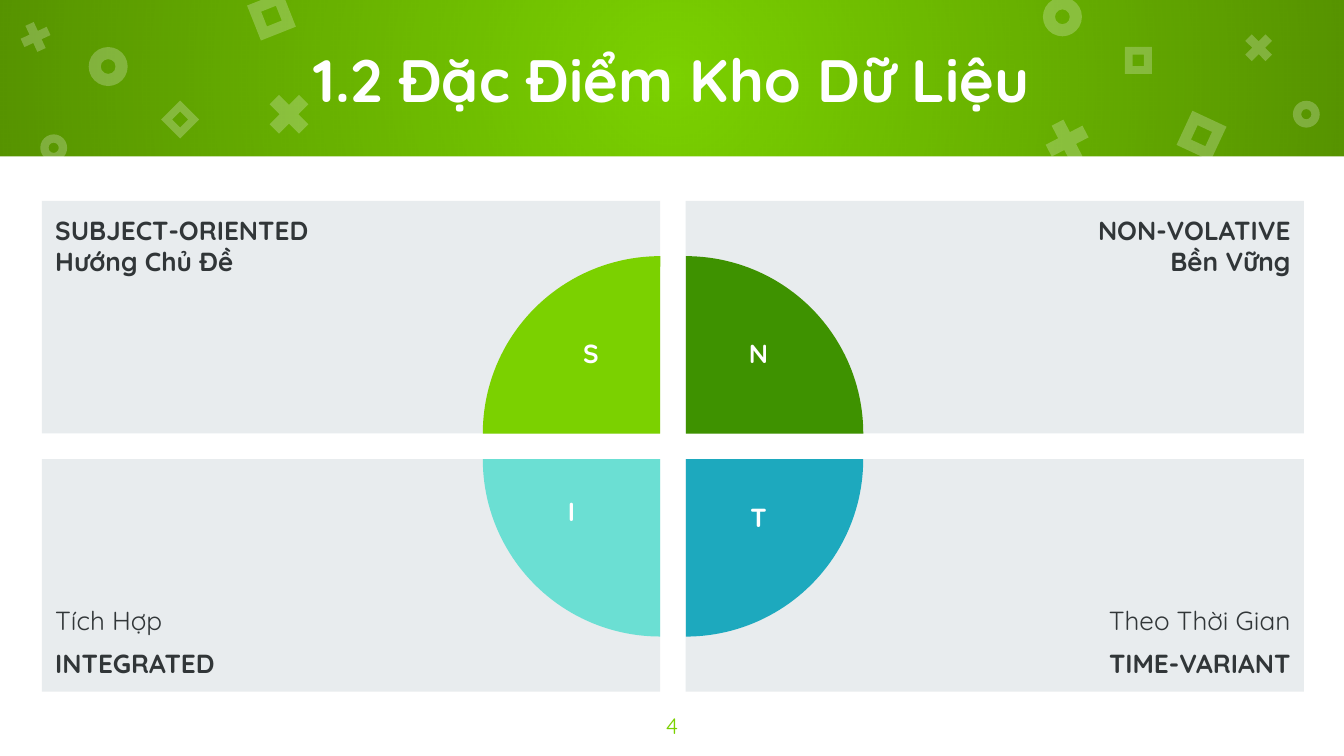
from dataclasses import dataclass

from lxml import etree
from pptx import Presentation
from pptx import util as u
from pptx.dml.color import RGBColor
from pptx.enum import shapes, text
from pptx.oxml import ns

WIDTH = 10
HEIGHT = WIDTH * 9 / 16
FONT = "Quicksand"
COLORS = {
    "lime": "7BD100", "green": "3E9200", "blue": "1DA9BE", "mint": "6BDFD3",
    "panel": "E8ECEE", "ink": "313638", "white": "FFFFFF", "black": "000000",
}
SHAPE = shapes.MSO_SHAPE
ALIGN = text.PP_ALIGN
ANCHOR = text.MSO_ANCHOR
KINDS = {
    "ring": (SHAPE.DONUT, 0.31),
    "cross": (SHAPE.MATH_MULTIPLY, 0.235),
    "frame": (SHAPE.FRAME, 0.289),
}
ORNAMENTS = [
    ("ring", 6.6, 3.5, 2.9, 0), ("cross", 19.4, 6.4, 4.2, 0),
    ("frame", 18.8, -0.2, 2.8, 338.4), ("ring", 77.6, -0.2, 2.9, 0),
    ("cross", 77.3, 8.4, 4.2, 17.5), ("frame", 88, 8.7, 2.8, 25),
    ("ring", 3, 10, 2, 0), ("cross", 1.2, 1.3, 2.9, 20.4),
    ("frame", 12.4, 7.9, 2, 45), ("ring", 96.2, 7.5, 2, 0),
    ("cross", 92.2, 2.1, 2.9, 0), ("frame", 83.7, 3.5, 2, 0),
]
QUADRANTS = [
    (0, 0, "S", "lime", 0, (-0.39, -0.58),
     [("SUBJECT-ORIENTED", True), ("Hướng Chủ Đề", True)]),
    (1, 0, "N", "green", 90, (0.41, -0.58),
     [("NON-VOLATIVE", True), ("Bền Vững", True)]),
    (0, 1, "I", "mint", 270, (-0.5, 0.17),
     [("Tích Hợp", False), ("INTEGRATED", True)]),
    (1, 1, "T", "blue", 180, (0.41, 0.2),
     [("Theo Thời Gian", False), ("TIME-VARIANT", True)]),
]


@dataclass
class Box:
    left: float
    top: float
    width: float
    height: float

    def emu(self):
        return [u.Inches(v) for v in (self.left, self.top, self.width, self.height)]

    def cell(self, column, row, gap):
        width, height = (self.width - gap) / 2, (self.height - gap) / 2
        return Box(self.left + column * (width + gap),
                   self.top + row * (height + gap), width, height)


def color(name):
    return RGBColor.from_string(COLORS[name])


def add_shape(slide, kind, box, fill, rotation=0, adjustments=()):
    shape = slide.shapes.add_shape(kind, *box.emu())
    shape.shadow.inherit = False
    shape.fill.solid()
    shape.fill.fore_color.rgb = color(fill)
    shape.line.fill.background()
    shape.rotation = rotation
    for index, value in enumerate(adjustments):
        shape.adjustments[index] = value
    return shape


def set_alpha(color_element, percent):
    alpha = etree.SubElement(color_element, ns.qn("a:alpha"))
    alpha.set("val", str(percent * 1000))


def set_radial_shade(shape, percent):
    properties = shape._element.spPr
    solid = properties.find(ns.qn("a:solidFill"))
    gradient = etree.Element(ns.qn("a:gradFill"), rotWithShape="1")
    stops = etree.SubElement(gradient, ns.qn("a:gsLst"))
    for position, opacity in ((0, 0), (100, percent)):
        stop = etree.SubElement(stops, ns.qn("a:gs"), pos=str(position * 1000))
        shade = etree.SubElement(stop, ns.qn("a:srgbClr"), val=COLORS["black"])
        set_alpha(shade, opacity)
    circle = etree.SubElement(gradient, ns.qn("a:path"))
    circle.set("path", "circle")
    etree.SubElement(circle, ns.qn("a:fillToRect"), l="50000", t="50000", r="50000", b="50000")
    properties.replace(solid, gradient)


def write(shape, lines, size, ink, align, anchor=ANCHOR.TOP,
          insets=(0.1, 0.1, 0.1, 0.1), spacing=0):
    frame = shape.text_frame
    frame.word_wrap = True
    frame.auto_size = text.MSO_AUTO_SIZE.NONE
    frame.vertical_anchor = anchor
    frame.margin_left, frame.margin_top, frame.margin_right, frame.margin_bottom = map(u.Inches, insets)
    for index, (wording, bold) in enumerate(lines):
        paragraph = frame.add_paragraph() if index else frame.paragraphs[0]
        paragraph.text = wording
        paragraph.alignment = align
        paragraph.line_spacing = 1.0
        paragraph.space_before = u.Pt(spacing if index else 0)
        paragraph.space_after = u.Pt(spacing if index else 0)
        font = paragraph.font
        font.name, font.size, font.bold = FONT, u.Pt(size), bold
        font.color.rgb = color(ink)


def add_header(slide, box):
    band = add_shape(slide, SHAPE.RECTANGLE, box, "black")
    set_radial_shade(band, 30)
    unit = box.width / 100
    for kind, left, top, size, rotation in ORNAMENTS:
        preset, thickness = KINDS[kind]
        place = Box(box.left + left * unit, box.top + top * unit, size * unit, size * unit)
        ornament = add_shape(slide, preset, place, "white", rotation, [thickness])
        set_alpha(ornament._element.spPr.find(".//" + ns.qn("a:srgbClr")), 24)
    title = slide.shapes.title
    place = Box(box.left + box.width * 0.05, box.top, box.width * 0.9, box.height)
    title.left, title.top, title.width, title.height = place.emu()
    write(title, [("1.2 Đặc Điểm Kho Dữ Liệu", True)], 32, "white", ALIGN.CENTER, ANCHOR.MIDDLE)
    slide.shapes._spTree.append(title._element)


def add_quadrant(slide, box, column, row, letter, fill, rotation, offset, lines):
    panel = add_shape(slide, SHAPE.RECTANGLE, box, "panel")
    insets = (1.5, 0.1, 0.1, 0.1) if column else (0.1, 0.1, 1.5, 0.1)
    write(panel, lines, 14, "ink", ALIGN.RIGHT if column else ALIGN.LEFT,
          ANCHOR.BOTTOM if row else ANCHOR.TOP, insets, 6 * row)

    radius = box.width * 0.287
    corner_x = box.left + box.width * (1 - column)
    corner_y = box.top + box.height * (1 - row)
    circle = Box(corner_x - radius, corner_y - radius, 2 * radius, 2 * radius)
    add_shape(slide, SHAPE.PIE, circle, fill, rotation, (108, 162))

    width, height = radius * 0.45, radius * 0.38
    place = Box(corner_x + offset[0] * radius - width / 2,
                corner_y + offset[1] * radius, width, height)
    label = slide.shapes.add_textbox(*place.emu())
    write(label, [(letter, True)], 14, "white", ALIGN.CENTER, insets=(0.1, 0.05, 0.1, 0.05))


def add_content(slide, box):
    add_shape(slide, SHAPE.RECTANGLE, box, "white")
    margin = box.width / 32
    grid = Box(box.left + margin, box.top + box.height * 0.074,
               box.width * 0.939, box.height * 0.819)
    for column, row, *details in QUADRANTS:
        add_quadrant(slide, grid.cell(column, row, 0.19), column, row, *details)
    place = Box(box.left + box.width * 0.47, box.top + box.height * 0.904,
                box.width * 0.06, box.height * 0.096)
    number = slide.shapes.add_textbox(*place.emu())
    write(number, [("4", False)], 12, "lime", ALIGN.CENTER)


def main():
    presentation = Presentation()
    presentation.slide_width = u.Inches(WIDTH)
    presentation.slide_height = u.Inches(HEIGHT)
    slide = presentation.slides.add_slide(presentation.slide_layouts[5])
    slide.background.fill.solid()
    slide.background.fill.fore_color.rgb = color("lime")
    band_height = HEIGHT * 0.207
    add_header(slide, Box(0, 0, WIDTH, band_height))
    add_content(slide, Box(0, band_height, WIDTH, HEIGHT - band_height))
    presentation.save("out.pptx")


if __name__ == "__main__":
    main()
